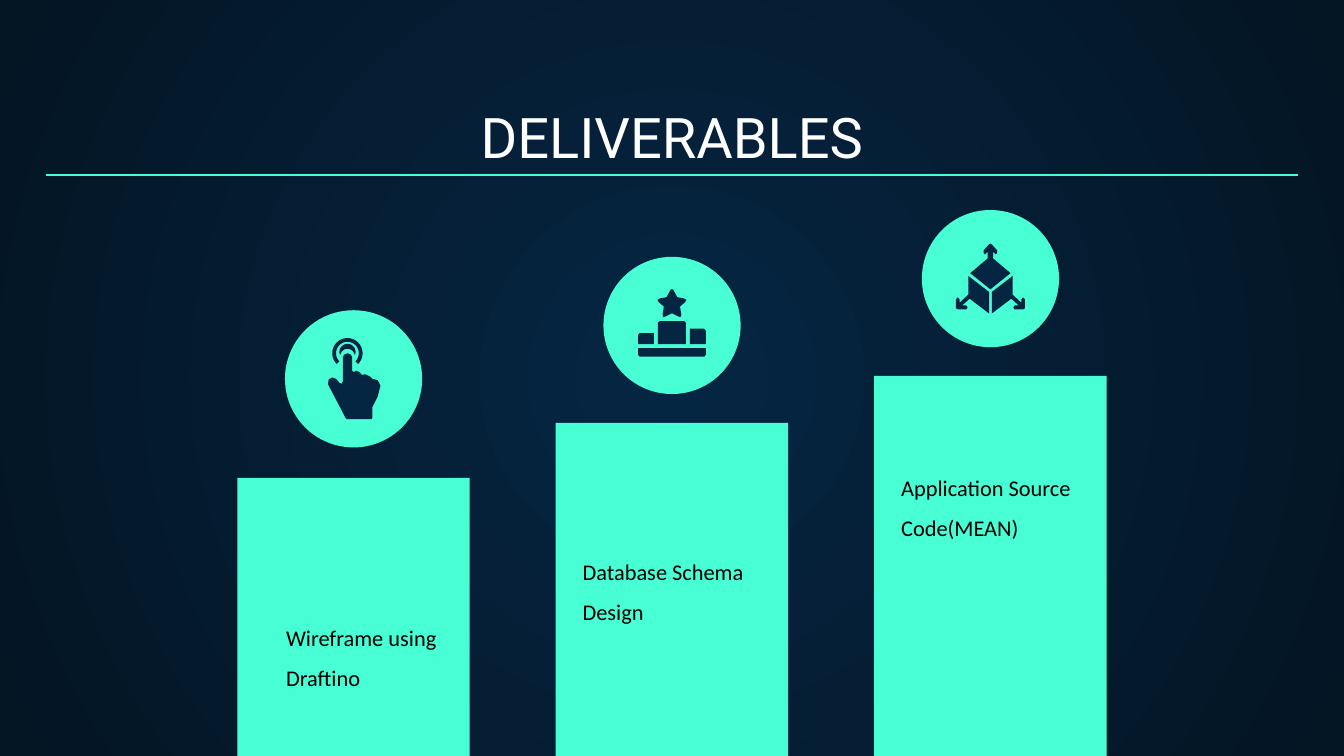
"""Build the Deliverables slide: three rising bars topped by icon discs."""
from math import cos, radians, sin

from lxml import etree
from pptx import Presentation
from pptx import util as u
from pptx.dml.color import RGBColor
from pptx.enum import shapes, text
from pptx.oxml import ns

THEME = {
    "navy": RGBColor.from_string("052643"),
    "night": RGBColor.from_string("041523"),
    "mint": RGBColor.from_string("48FFD5"),
    "white": RGBColor.from_string("FFFFFF"),
    "black": RGBColor.from_string("000000"),
    "title": ("Roboto", 30),
    "label": ("Calibri", 12),
}
WIDTH, HEIGHT = 720, 405
BAR_WIDTH, BAR_BOTTOM, COLUMN_STEP = 124.5, 407.5, 170.6
DISC_SIZE, ICON_UNIT = 73.5, 0.72
LABEL_WIDTH, LABEL_HEIGHT = 109.5, 39.5
RULE_LEFT, RULE_TOP = 24.5, 93.75


def arc(x, y, radius, start, end, steps=24):
    """Return points along an arc, angles in degrees clockwise from the right."""
    angles = [radians(start + (end - start) * i / steps) for i in range(steps + 1)]
    return [(x + radius * cos(a), y + radius * sin(a)) for a in angles]


def flip(points):
    """Return points mirrored about the vertical axis, in reverse order."""
    return [(-x, y) for x, y in reversed(points)]


STAR_HALF = [(0, -27), (-1, -26.5), (-4, -21), (-9, -20), (-10.7, -19), (-10, -17.5),
             (-6, -14), (-7, -8), (-6.5, -6.3), (-5, -6.5), (0, -9)]
CUBE_TOP_HALF = [(0, -26), (-1, -25.5), (-5, -21), (-5, -19), (-4, -18), (-2, -20),
                 (-2, -15), (-15, -4), (0, 8)]
CUBE_SIDE = [(16.5, -2), (1, 10), (1, 26), (15.5, 15), (21, 20), (18, 20), (17, 21.5),
             (18, 23), (24.5, 23), (25.7, 22), (25.7, 15.5), (24.3, 14), (23, 15.5),
             (23, 18), (16.5, 12)]
HAND = [(-4.5, -19), (-7, -18), (-8, -16), (-8, 2), (-9, 3.7), (-10.5, 3), (-13, 0),
        (-16, -1), (-18.5, 0.5), (-19, 4), (-6, 29), (-5, 30), (13.5, 30), (14, 29),
        (14, 21), (18, 13), (20, 5), (18, 1), (14, 0), (12.5, -1.5), (9, -3.3),
        (6, -3), (4.5, -5), (2, -6), (0, -5), (-1, -6), (-1, -16), (-2, -18)]

ICONS = {
    "tap": [
        arc(-4.5, -19, 11.3, 135, 405) + arc(-4.5, -19, 8.5, 405, 135),
        arc(-4.5, -20, 6, 160, 380) + arc(-4.5, -17, 5.3, 350, 190),
        HAND,
    ],
    "podium": [
        STAR_HALF + flip(STAR_HALF),
        [(13.4, 2.5), (13.4, 14), (25.2, 14), (25.2, 4), (24, 2.5)],
        [(-10.4, 14), (-10.4, -2), (-9, -3.3), (9, -3.3), (10.4, -2), (10.4, 14)],
        [(-25.2, 17), (25.2, 17), (25.2, 22), (24, 23.3), (-24, 23.3), (-25.2, 22)],
        [(-25.2, 14), (-25.2, 7), (-24, 5.7), (-13.4, 5.7), (-13.4, 14)],
    ],
    "cube": [CUBE_SIDE, flip(CUBE_SIDE), CUBE_TOP_HALF + flip(CUBE_TOP_HALF)],
}
COLUMNS = [
    {"label": "Wireframe using Draftino", "icon": "tap",
     "bar": 256, "disc": 166.2, "label_top": 319.8, "indent": 19},
    {"label": "Database Schema Design", "icon": "podium",
     "bar": 226.5, "disc": 137.6, "label_top": 284.4, "indent": 7.3},
    {"label": "Application Source Code(MEAN)", "icon": "cube",
     "bar": 201.4, "disc": 112.5, "label_top": 239.6, "indent": 7.3},
]


def paint(shape, color):
    """Give a shape a flat fill with no outline or shadow."""
    shape.shadow.inherit = False
    shape.fill.solid()
    shape.fill.fore_color.rgb = color
    shape.line.fill.background()


def add_block(page, kind, *frame):
    """Add a mint preset shape."""
    shape = page.shapes.add_shape(kind, *map(u.Pt, frame))
    paint(shape, THEME["mint"])


def add_text(page, words, style, color, frame):
    """Add a wrapped text box and return it."""
    box = page.shapes.add_textbox(*map(u.Pt, frame))
    body = box.text_frame
    body.word_wrap = True
    body.margin_left = body.margin_right = u.Pt(7.2)
    body.margin_top = body.margin_bottom = u.Pt(7.2)
    body.text = words
    span = body.paragraphs[0].runs[0]
    span.font.name, size = THEME[style]
    span.font.size = u.Pt(size)
    span.font.color.rgb = THEME[color]
    return box


def add_icon(page, outlines, x, y):
    """Draw grouped outlines centred on a disc."""
    group = page.shapes.add_group_shape()
    for outline in outlines:
        points = [(u.Pt(x + ICON_UNIT * dx), u.Pt(y + ICON_UNIT * dy)) for dx, dy in outline]
        builder = group.shapes.build_freeform(*points[0], scale=1.0)
        builder.add_line_segments(points[1:], close=True)
        paint(builder.convert_to_shape(), THEME["navy"])


def paint_background(page):
    """Fill the page with a radial gradient."""
    fill = page.background.fill
    fill.gradient()
    for stop, color in zip(fill.gradient_stops, ("navy", "night")):
        stop.color.rgb = THEME[color]
    gradient = next(page._element.iter(ns.qn("a:gradFill")))
    for linear in gradient.findall(ns.qn("a:lin")):
        gradient.remove(linear)
    radial = etree.SubElement(gradient, ns.qn("a:path"), path="circle")
    sides = dict.fromkeys("ltrb", "50000")
    etree.SubElement(radial, ns.qn("a:fillToRect"), **sides)


def add_column(page, index, column):
    """Add one bar with its label, disc and icon."""
    center = WIDTH / 2 + (index - 1) * COLUMN_STEP
    left, top = center - BAR_WIDTH / 2, column["bar"]
    add_block(page, shapes.MSO_SHAPE.RECTANGLE, left, top, BAR_WIDTH, BAR_BOTTOM - top)
    frame = (left + column["indent"], column["label_top"], LABEL_WIDTH, LABEL_HEIGHT)
    box = add_text(page, column["label"], "label", "black", frame)
    box.text_frame.paragraphs[0].line_spacing = 1.5
    add_block(page, shapes.MSO_SHAPE.OVAL, center - DISC_SIZE / 2, column["disc"],
              DISC_SIZE, DISC_SIZE)
    add_icon(page, ICONS[column["icon"]], center, column["disc"] + DISC_SIZE / 2)


def main():
    """Assemble and save the deck."""
    deck = Presentation()
    deck.slide_width, deck.slide_height = u.Pt(WIDTH), u.Pt(HEIGHT)
    page = deck.slides.add_slide(deck.slide_layouts[6])
    paint_background(page)
    title = add_text(page, "DELIVERABLES", "title", "white", (24.5, 50.4, 671, 47.5))
    title.text_frame.vertical_anchor = text.MSO_ANCHOR.BOTTOM
    title.text_frame.paragraphs[0].alignment = text.PP_ALIGN.CENTER
    for index, column in enumerate(COLUMNS):
        add_column(page, index, column)
    ends = (RULE_LEFT, RULE_TOP, WIDTH - RULE_LEFT, RULE_TOP)
    rule = page.shapes.add_connector(shapes.MSO_CONNECTOR.STRAIGHT, *map(u.Pt, ends))
    rule.line.color.rgb = THEME["mint"]
    rule.line.width = u.Pt(0.75)
    etree.SubElement(rule._element.spPr, ns.qn("a:effectLst"))
    deck.save("out.pptx")


if __name__ == "__main__":
    main()
